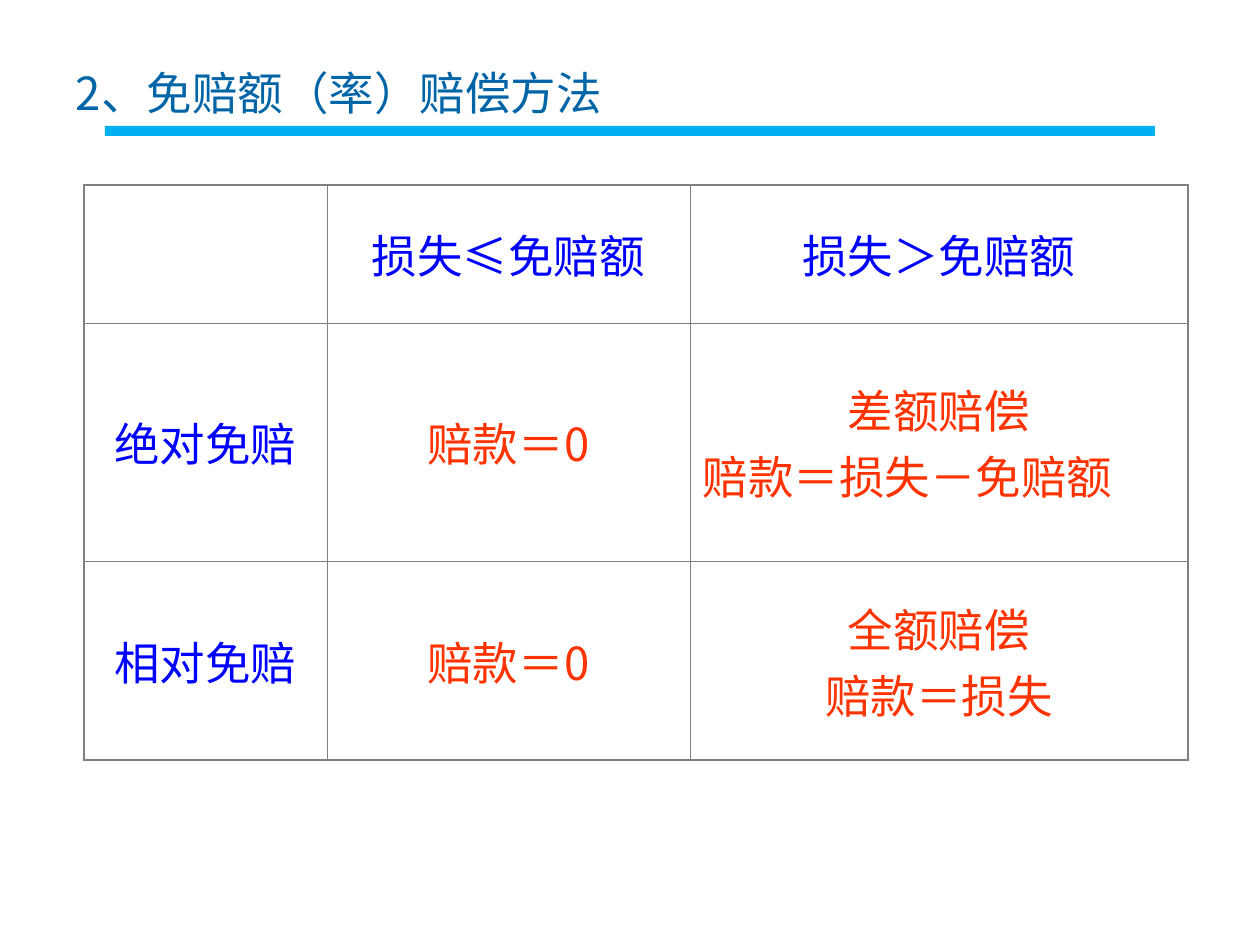
from lxml.etree import SubElement
from pptx import Presentation
from pptx.dml.color import RGBColor
from pptx.enum.shapes import MSO_SHAPE
from pptx.enum.text import MSO_ANCHOR as ANCHOR, PP_ALIGN as ALIGN
from pptx.oxml.ns import qn
from pptx.util import Pt

PX = 914400 // 126
FONT, SIZE = "Noto Sans CJK SC", 26
COLORS = {"title": "0065A6", "rule": "00B0F0", "label": "0000FF",
          "result": "FF3300", "border": "808080"}
OUTER, INNER = 1.08, 0.45

TITLE = "2、免赔额（率）赔偿方法"
TITLE_BOX = (63, 38, 1134, 157)
TITLE_MARGINS = {"margin_left": 13, "margin_right": 13,
                 "margin_top": 27, "margin_bottom": 6}
RULE_BOX = (105, 126, 1050, 10)

TABLE_AT = (84, 185)
COL_WIDTHS = [243, 363, 498]
ROW_HEIGHTS = [138, 238, 199]
CENTER, LEFT = ALIGN.CENTER, ALIGN.LEFT
ROWS = [
    [[], [("损失≤免赔额", CENTER)], [("损失＞免赔额", CENTER)]],
    [[("绝对免赔", CENTER)], [("赔款＝0", CENTER)],
     [("差额赔偿", CENTER), ("赔款＝损失－免赔额", LEFT)]],
    [[("相对免赔", CENTER)], [("赔款＝0", CENTER)],
     [("全额赔偿", CENTER), ("赔款＝损失", CENTER)]],
]


def px(*values):
    return [v * PX for v in values]


def rgb(name):
    return RGBColor.from_string(COLORS[name])


def write(p, text, color, align):
    p.alignment = align
    r = p.add_run()
    r.text = text
    r.font.name, r.font.size = FONT, Pt(SIZE)
    r.font.color.rgb = rgb(color)
    SubElement(r.font._element, qn("a:ea"), typeface=FONT)


def set_borders(cell, widths):
    """Draw the sides of a cell; widths maps L, R, T, B to points."""
    tc_pr = cell._tc.get_or_add_tcPr()
    for i, (side, width) in enumerate(widths.items()):
        ln = tc_pr.makeelement(qn(f"a:ln{side}"), {"w": str(int(Pt(width)))})
        fill = SubElement(ln, qn("a:solidFill"))
        SubElement(fill, qn("a:srgbClr"), val=COLORS["border"])
        tc_pr.insert(i, ln)


def add_title(slide):
    sp = slide.shapes.add_shape(MSO_SHAPE.RECTANGLE, *px(*RULE_BOX))
    sp.shadow.inherit = False
    sp.fill.solid()
    sp.fill.fore_color.rgb = rgb("rule")
    sp.line.fill.background()

    tf = slide.shapes.add_textbox(*px(*TITLE_BOX)).text_frame
    tf.word_wrap = True
    tf.vertical_anchor = ANCHOR.TOP
    for name, value in TITLE_MARGINS.items():
        setattr(tf, name, value * PX)
    write(tf.paragraphs[0], TITLE, "title", LEFT)


def add_rules_table(slide):
    n_rows, n_cols = len(ROW_HEIGHTS), len(COL_WIDTHS)
    size = sum(COL_WIDTHS), sum(ROW_HEIGHTS)
    table = slide.shapes.add_table(n_rows, n_cols, *px(*TABLE_AT, *size)).table
    table.first_row = table.horz_banding = False
    for col, width in zip(table.columns, COL_WIDTHS):
        col.width = width * PX
    for row, height in zip(table.rows, ROW_HEIGHTS):
        row.height = height * PX

    for i, row in enumerate(ROWS):
        for j, lines in enumerate(row):
            cell = table.cell(i, j)
            cell.fill.background()
            cell.vertical_anchor = ANCHOR.MIDDLE
            edges = {"L": j == 0, "R": j == n_cols - 1,
                     "T": i == 0, "B": i == n_rows - 1}
            set_borders(cell, {side: OUTER if edge else INNER
                               for side, edge in edges.items()})
            color = "result" if i and j else "label"
            tf = cell.text_frame
            for k, (text, align) in enumerate(lines):
                p = tf.add_paragraph() if k else tf.paragraphs[0]
                write(p, text, color, align)


def main():
    prs = Presentation()
    prs.slide_width, prs.slide_height = px(1260, 945)
    slide = prs.slides.add_slide(prs.slide_layouts[6])
    add_title(slide)
    add_rules_table(slide)
    prs.save("out.pptx")


if __name__ == "__main__":
    main()
